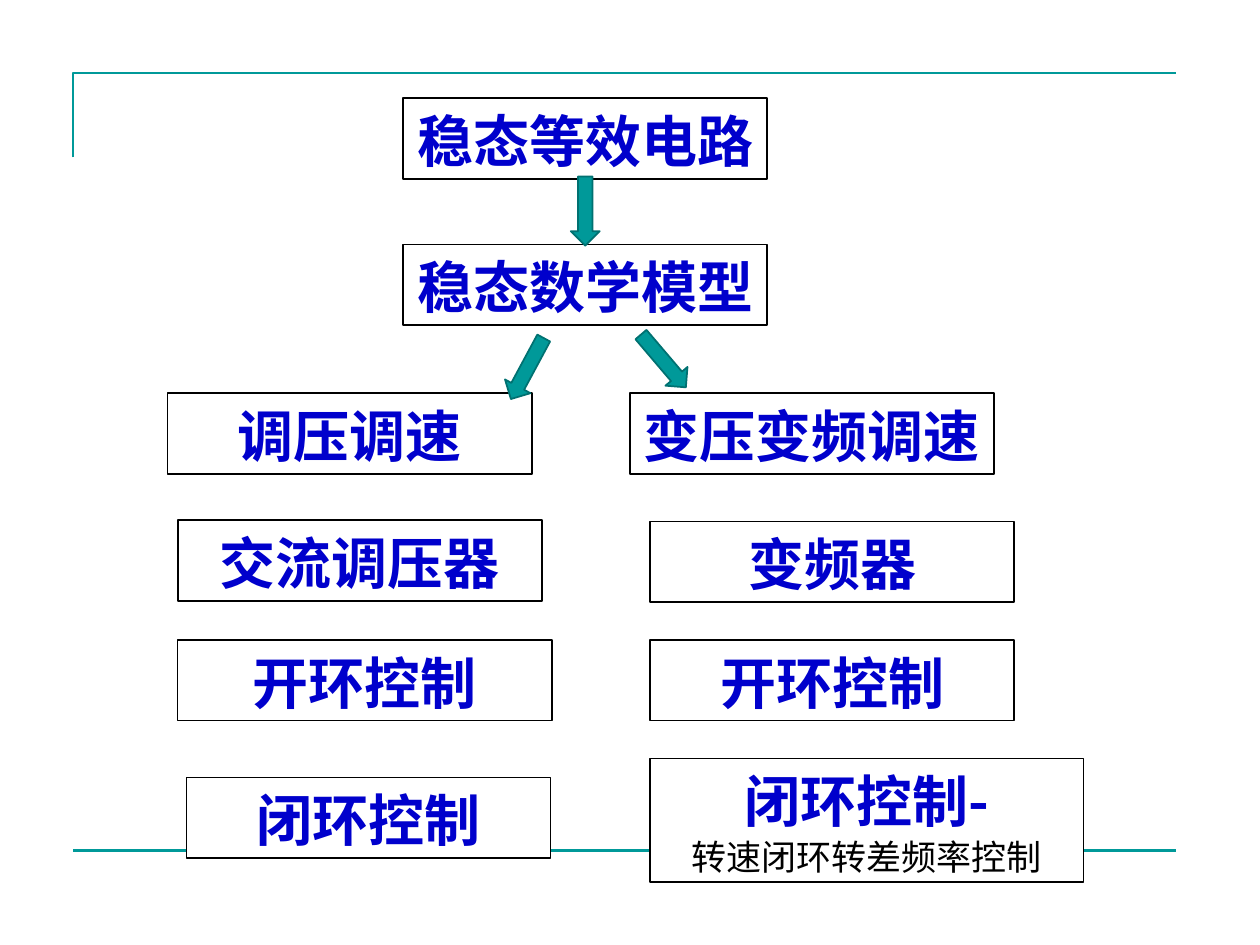
from pptx import Presentation, util as u
from pptx.dml.color import RGBColor
from pptx.enum import shapes, text
from pptx.oxml.ns import qn
from lxml import etree

COLORS = {"teal": "009999", "teal_edge": "007171", "blue": "0000CC",
          "black": "000000", "white": "FFFFFF"}
FONT = "Noto Sans CJK SC"
BOX_W, BOX_H = 2.89, 0.64
LINE_SPACING = 1.25  # line height as a multiple of the text size

# Content: label, left, top, then any size or subtitle that differs
BOXES = [
    ("稳态等效电路", 3.2, 0.78, {}),
    ("稳态数学模型", 3.2, 1.94, {}),
    ("调压调速", 1.33, 3.12, {}),
    ("变压变频调速", 5, 3.12, {}),
    ("交流调压器", 1.41, 4.13, {}),
    ("变频器", 5.16, 4.14, {}),
    ("开环控制", 1.41, 5.08, {"width": 2.97}),
    ("开环控制", 5.16, 5.08, {}),
    ("闭环控制", 1.48, 6.17, {}),
    ("闭环控制-", 5.16, 6.02,
     {"width": 3.44, "height": 0.98, "subtitle": "转速闭环转差频率控制"}),
]
ARROWS = [(4.37, 1.56, 90), (3.91, 2.81, 118.3), (4.99, 2.75, 49.6)]  # left, top, angle
ARROW_W, ARROW_H = 0.55, 0.23
FRAME_LEFT, FRAME_RIGHT, FRAME_TOP, FRAME_BOTTOM = 0.58, 9.33, 0.58, 6.75
CORNER_END = 1.25

prs = Presentation()
prs.slide_width, prs.slide_height = u.Inches(10), u.Inches(7.5)
slide = prs.slides.add_slide(prs.slide_layouts[6])


def rgb(name):
    return RGBColor.from_string(COLORS[name])


def set_line(part, color, width):
    part.line.color.rgb = rgb(color)
    part.line.width = u.Pt(width)


def set_fill(part, color):
    part.fill.solid()
    part.fill.fore_color.rgb = rgb(color)


def write(paragraph, words, size=32, color="blue", bold=True):
    paragraph.alignment = text.PP_ALIGN.CENTER
    paragraph.line_spacing = u.Pt(size * LINE_SPACING)
    run = paragraph.add_run()
    run.text = words
    font = run.font
    font.name, font.size, font.bold = FONT, u.Pt(size), bold
    font.color.rgb = rgb(color)
    east_asian = etree.SubElement(run._r.get_or_add_rPr(), qn("a:ea"))
    east_asian.set("typeface", FONT)


def add_box(label, left, top, width=BOX_W, height=BOX_H, subtitle=None):
    box = slide.shapes.add_textbox(*map(u.Inches, (left, top, width, height)))
    set_fill(box, "white")
    set_line(box, "black", 1)
    frame = box.text_frame
    frame.word_wrap = True
    frame.vertical_anchor = text.MSO_ANCHOR.MIDDLE
    write(frame.paragraphs[0], label)
    if subtitle:
        write(frame.add_paragraph(), subtitle, size=20, color="black", bold=False)


# Frame: open corner at the top left and a rule at the bottom
builder = slide.shapes.build_freeform(u.Inches(FRAME_LEFT), u.Inches(CORNER_END))
builder.add_line_segments([(u.Inches(x), u.Inches(FRAME_TOP))
                           for x in (FRAME_LEFT, FRAME_RIGHT)], close=False)
corner = builder.convert_to_shape()
corner.shadow.inherit = False
corner.fill.background()
set_line(corner, "teal", 1.5)

rule = slide.shapes.add_connector(
    shapes.MSO_CONNECTOR.STRAIGHT,
    *map(u.Inches, (FRAME_LEFT, FRAME_BOTTOM, FRAME_RIGHT, FRAME_BOTTOM)))
set_line(rule, "teal", 1.5)
etree.SubElement(rule._element.spPr, qn("a:effectLst"))

# Boxes
for label, left, top, options in BOXES:
    add_box(label, left, top, **options)

# Block arrows
for left, top, angle in ARROWS:
    arrow = slide.shapes.add_shape(shapes.MSO_SHAPE.RIGHT_ARROW,
                                   *map(u.Inches, (left, top, ARROW_W, ARROW_H)))
    arrow.rotation = angle
    arrow.shadow.inherit = False
    set_fill(arrow, "teal")
    set_line(arrow, "teal_edge", 1)

prs.save("out.pptx")
